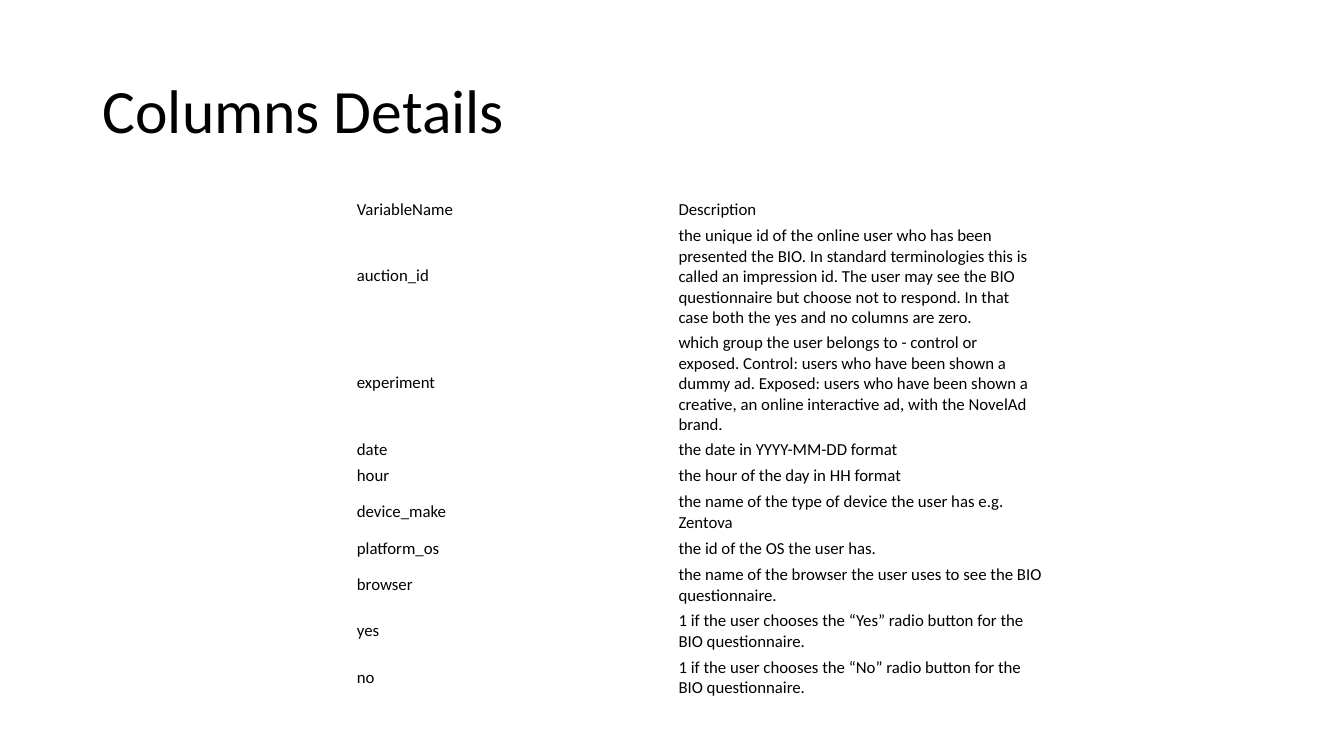
from dataclasses import dataclass

from pptx import Presentation
from pptx.dml.color import RGBColor
from pptx.enum.text import MSO_ANCHOR as Anchor
from pptx.slide import Slide
from pptx.table import _Cell as Cell
from pptx.text.text import _Paragraph as Paragraph
from pptx.util import Inches, Pt


@dataclass(frozen=True)
class Theme:
    font: str = "Calibri"
    ink: RGBColor = RGBColor(0x00, 0x00, 0x00)
    title_size: int = 44
    table_size: int = 12


@dataclass(frozen=True)
class Variable:
    name: str
    description: str
    lines: int = 1


THEME = Theme()
COLUMN_WIDTHS = (3.19, 3.75)
LINE_HEIGHT = 0.2
CELL_PADDING = 0.03
CELL_FORMAT = {
    "margin_left": Inches(0.07),
    "margin_right": Inches(0.07),
    "margin_top": Inches(CELL_PADDING),
    "margin_bottom": Inches(CELL_PADDING),
    "vertical_anchor": Anchor.MIDDLE,
}
TABLE_FORMAT = {"first_row": False, "horz_banding": False}

VARIABLES = (
    Variable("VariableName", "Description"),
    Variable(
        "auction_id",
        "the unique id of the online user who has been presented the BIO. "
        "In standard terminologies this is called an impression id. "
        "The user may see the BIO questionnaire but choose not to respond. "
        "In that case both the yes and no columns are zero.",
        5,
    ),
    Variable(
        "experiment",
        "which group the user belongs to - control or exposed. "
        "Control: users who have been shown a dummy ad. "
        "Exposed: users who have been shown a creative, an online interactive ad, "
        "with the NovelAd brand.",
        4,
    ),
    Variable("date", "the date in YYYY-MM-DD format"),
    Variable("hour", "the hour of the day in HH format"),
    Variable("device_make", "the name of the type of device the user has e.g. Zentova", 2),
    Variable("platform_os", "the id of the OS the user has."),
    Variable("browser", "the name of the browser the user uses to see the BIO questionnaire.", 2),
    Variable("yes", "1 if the user chooses the “Yes” radio button for the BIO questionnaire.", 2),
    Variable("no", "1 if the user chooses the “No” radio button for the BIO questionnaire.", 2),
)


def write(paragraph: Paragraph, text: str, size: int) -> None:
    run = paragraph.add_run()
    run.text = text
    for attribute, value in {"name": THEME.font, "size": Pt(size)}.items():
        setattr(run.font, attribute, value)
    run.font.color.rgb = THEME.ink


def add_title(slide: Slide, text: str) -> None:
    title = slide.shapes.add_textbox(Inches(0.92), Inches(0.4), Inches(11.5), Inches(1.45))
    frame = title.text_frame
    for attribute, value in {"word_wrap": True, "vertical_anchor": Anchor.MIDDLE}.items():
        setattr(frame, attribute, value)
    heading = frame.paragraphs[0]
    heading.line_spacing = 0.9
    write(heading, text, THEME.title_size)


def fill_cell(cell: Cell, text: str) -> None:
    for attribute, value in CELL_FORMAT.items():
        setattr(cell, attribute, value)
    cell.fill.background()
    write(cell.text_frame.paragraphs[0], text, THEME.table_size)


def add_variables(slide: Slide, variables: tuple[Variable, ...]) -> None:
    dictionary = slide.shapes.add_table(
        len(variables), len(COLUMN_WIDTHS),
        Inches(3.47), Inches(1.95), Inches(sum(COLUMN_WIDTHS)), Inches(5.05),
    )
    table = dictionary.table
    for attribute, value in TABLE_FORMAT.items():
        setattr(table, attribute, value)
    for column, width in zip(table.columns, COLUMN_WIDTHS):
        column.width = Inches(width)
    for row, variable in zip(table.rows, variables):
        row.height = Inches(2 * CELL_PADDING + LINE_HEIGHT * variable.lines)
        for cell, text in zip(row.cells, (variable.name, variable.description)):
            fill_cell(cell, text)
    dictionary.height = Inches(5.05)


def main() -> None:
    deck = Presentation()
    deck.slide_width, deck.slide_height = Inches(13.33), Inches(7.5)
    slide = deck.slides.add_slide(deck.slide_layouts[6])
    add_title(slide, "Columns Details")
    add_variables(slide, VARIABLES)
    deck.save("out.pptx")


if __name__ == "__main__":
    main()
